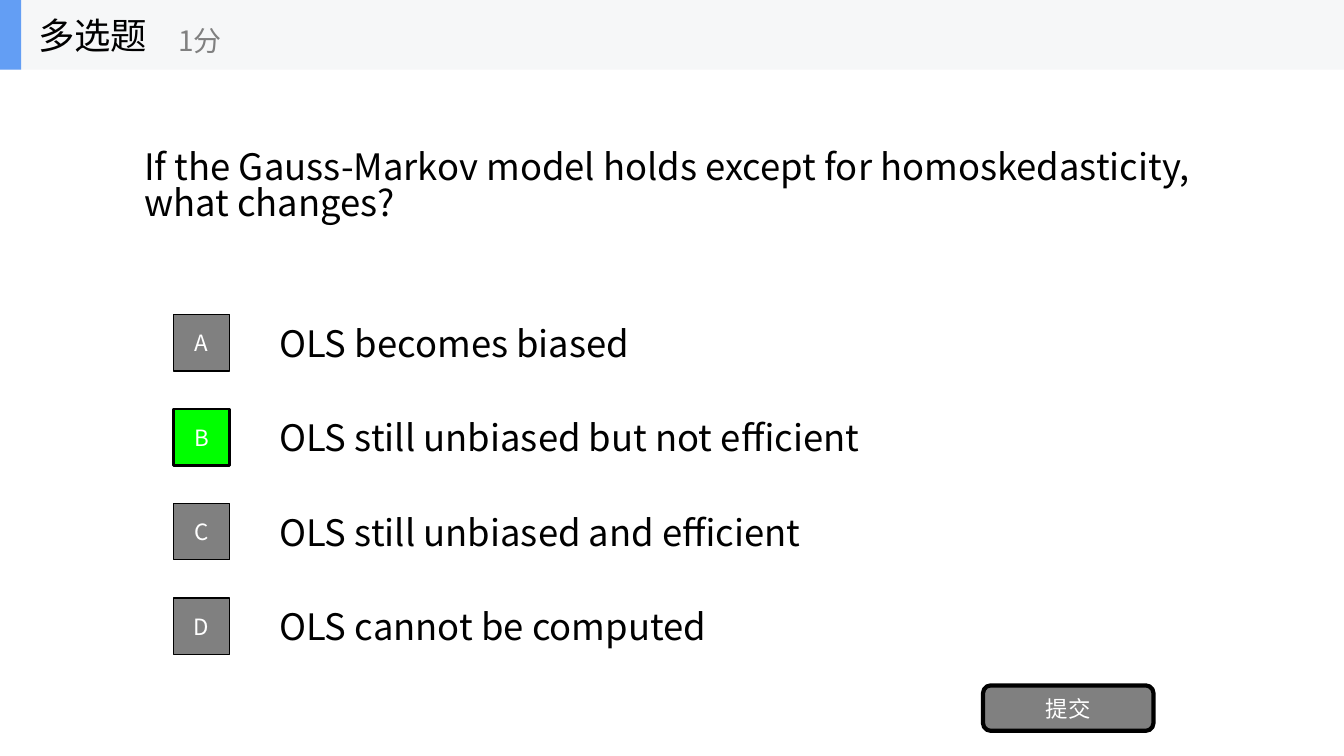
from pptx import Presentation
from pptx.dml.color import RGBColor
from pptx.enum.shapes import MSO_SHAPE
from pptx.enum.text import MSO_ANCHOR, MSO_AUTO_SIZE, PP_ALIGN
from pptx.oxml.ns import qn
from pptx.util import Inches, Pt
from lxml import etree

# Content
KIND, SCORE, SUBMIT = "多选题", "1分", "提交"
QUESTION = ("If the Gauss-Markov model holds except for homoskedasticity, "
            "what changes?")
OPTIONS = [  # letter, answer, correct
    ("A", "OLS becomes biased", False),
    ("B", "OLS still unbiased but not efficient", True),
    ("C", "OLS still unbiased and efficient", False),
    ("D", "OLS cannot be computed", False),
]


class Theme:
    font = "Noto Sans CJK SC"
    text, muted, white = "000000", "808080", "FFFFFF"
    band, accent, correct = "F6F7F8", "639EF4", "00FF00"
    body, score, label = 26, 20, 16


def write(sp, text, size=Theme.body, color=Theme.text,
          align=PP_ALIGN.LEFT, spacing=None):
    tf = sp.text_frame
    tf.word_wrap = True
    tf.auto_size = MSO_AUTO_SIZE.NONE
    tf.vertical_anchor = MSO_ANCHOR.MIDDLE
    p = tf.paragraphs[0]
    p.alignment = align
    if spacing:
        p.line_spacing = spacing
    r = p.add_run()
    r.text = text
    r.font.name = Theme.font
    r.font.size = Pt(size)
    r.font.color.rgb = RGBColor.from_string(color)
    ea = etree.SubElement(r.font._element, qn("a:ea"))
    ea.set("typeface", Theme.font)


def add_text(box, text, **fmt):
    write(slide.shapes.add_textbox(*map(Inches, box)), text, **fmt)


def add_block(box, fill, line=0, kind=MSO_SHAPE.RECTANGLE):
    sp = slide.shapes.add_shape(kind, *map(Inches, box))
    sp.shadow.inherit = False
    sp.fill.solid()
    sp.fill.fore_color.rgb = RGBColor.from_string(fill)
    if line:
        sp.line.color.rgb = RGBColor.from_string(Theme.text)
        sp.line.width = Pt(line)
    else:
        sp.line.fill.background()
    return sp


prs = Presentation()
prs.slide_width, prs.slide_height = Inches(13.33), Inches(7.5)
slide = prs.slides.add_slide(prs.slide_layouts[5])
label = dict(size=Theme.label, color=Theme.white, align=PP_ALIGN.CENTER)

# Header band
HEADER = 0.69
add_block((0, 0, 13.33, HEADER), Theme.band)
add_block((0, 0, 0.21, HEADER), Theme.accent)
add_text((0.28, 0, 2.08, HEADER), KIND)
add_text((1.67, 0.12, 2.5, 0.56), SCORE, size=Theme.score, color=Theme.muted)

# Question
title = slide.shapes.title
title.left, title.top = Inches(1.33), Inches(HEADER)
title.width, title.height = Inches(10.67), Inches(2.34)
write(title, QUESTION, spacing=0.83)

# Answer options
TOP, PITCH, ROW, KEY = 3.05, 0.937, 0.7, 0.56
for i, (letter, answer, correct) in enumerate(OPTIONS):
    y = TOP + i * PITCH
    add_text((2.67, y, 9.33, ROW), answer)
    key = add_block((1.72, y + (ROW - KEY) / 2, KEY, KEY),
                    Theme.correct if correct else Theme.muted,
                    line=2 if correct else 1)
    write(key, letter, **label)

# Submit button
button = add_block((9.75, 6.8, 1.69, 0.45), Theme.muted, line=3,
                   kind=MSO_SHAPE.ROUNDED_RECTANGLE)
write(button, SUBMIT, **label)

prs.save("out.pptx")
